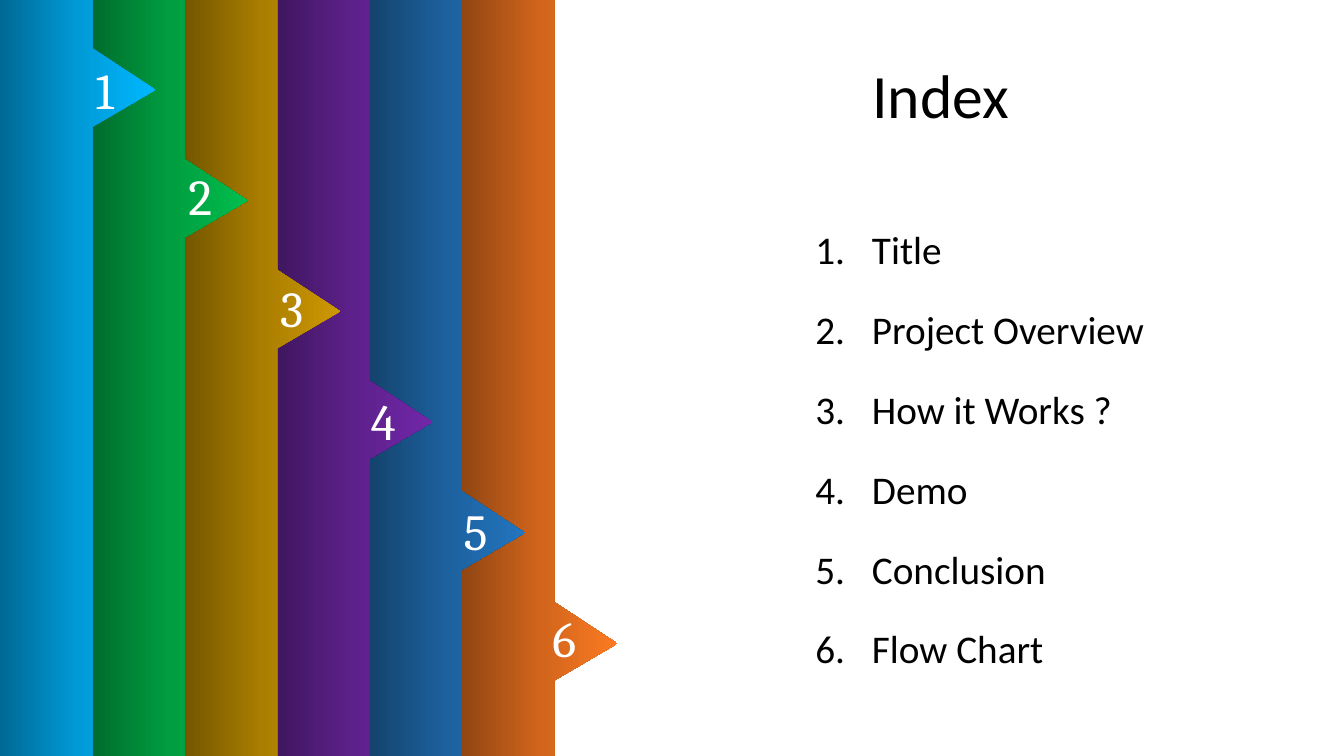
from copy import deepcopy

from lxml import etree
from pptx import Presentation
from pptx.dml.color import RGBColor
from pptx.enum.text import MSO_ANCHOR, PP_ALIGN
from pptx.oxml.ns import qn
from pptx.util import Pt

CENTER, LEFT = PP_ALIGN.CENTER, PP_ALIGN.LEFT
MIDDLE, TOP = MSO_ANCHOR.MIDDLE, MSO_ANCHOR.TOP

COLORS = {
    "text": "000000",
    "number": "FFFFFF",
    "strips": [
        ("006994", "009AD7", "00B8FF"),
        ("006C2D", "009E40", "00BD4E"),
        ("765700", "AA7E00", "CD9700"),
        ("401660", "5D218B", "7127A8"),
        ("14436D", "1D619F", "2375BF"),
        ("914613", "D1651C", "FB7A22"),
    ],
}
NUMBER_FONT = {"name": "Cambria", "size": Pt(36)}
TITLE_FONT = {"name": "Calibri", "size": Pt(44)}
ENTRY_FONT = {"name": "Calibri", "size": Pt(28)}
ENTRIES = ["Title", "Project Overview", "How it Works ?", "Demo", "Conclusion", "Flow Chart"]
NUMBER_OFFSETS = [(61.2, 38.9), (61.4, 35.4), (61, 36.2), (59.8, 37.7), (60, 37.1), (57.4, 34.3)]
STRIP_WIDTH, ARROW_DEPTH, ARROW_STEP = 66, 45, 79.1
ARROW_TOP, ARROW_TIP, ARROW_BOTTOM = 34.6, 64.2, 90.6
NUMBER_WIDTH, NUMBER_HEIGHT = 40, 51
HANGING = 40.5


def set_values(target, values):
    for name, value in values.items():
        setattr(target, name, value)


def add_text(page, box, lines, font, color, anchor=TOP, para_format=None):
    frame = page.shapes.add_textbox(*map(Pt, box)).text_frame
    set_values(frame, {"word_wrap": True, "vertical_anchor": anchor})
    for index, line in enumerate(lines):
        para = frame.add_paragraph() if index else frame.paragraphs[0]
        set_values(para, para_format or {"alignment": LEFT})
        span = para.add_run()
        span.text = line
        set_values(span.font, font)
        span.font.color.rgb = RGBColor.from_string(color)
    return frame


def fill_gradient(shape, colors):
    shape.fill.gradient()
    shape.fill.gradient_angle = 0
    stops = shape._element.spPr.find(qn("a:gradFill")).find(qn("a:gsLst"))
    stops.append(deepcopy(stops[0]))
    for stop, color, position in zip(shape.fill.gradient_stops, colors, (0, 0.5, 1)):
        stop.color.rgb = RGBColor.from_string(color)
        stop.position = position


def add_strip(page, box, index):
    left, top, width, height = box
    right, bottom = left + width, top + height
    shift = top + index * ARROW_STEP
    outline = [
        (left, top), (right, top), (right, shift + ARROW_TOP),
        (right + ARROW_DEPTH, shift + ARROW_TIP), (right, shift + ARROW_BOTTOM),
        (right, bottom), (left, bottom),
    ]
    points = [(Pt(x), Pt(y)) for x, y in outline]
    builder = page.shapes.build_freeform(*points[0])
    builder.add_line_segments(points[1:], close=True)
    strip = builder.convert_to_shape()
    strip.shadow.inherit = False
    strip.line.fill.background()
    fill_gradient(strip, COLORS["strips"][index])
    across, down = NUMBER_OFFSETS[index]
    number_box = (left + across, shift + down, NUMBER_WIDTH, NUMBER_HEIGHT)
    add_text(page, number_box, [str(index + 1)], NUMBER_FONT, COLORS["number"])


def add_strips(page, box):
    left, top, _, height = box
    for index in reversed(range(len(ENTRIES))):
        add_strip(page, (left + index * STRIP_WIDTH, top, STRIP_WIDTH, height), index)


def add_title(page, box):
    add_text(page, box, ["Index"], TITLE_FONT, COLORS["text"], MIDDLE,
             {"alignment": CENTER, "line_spacing": 0.9})


def add_entries(page, box):
    frame = add_text(page, box, ENTRIES, ENTRY_FONT, COLORS["text"],
                     para_format={"line_spacing": 1.4, "space_before": Pt(10)})
    frame.paragraphs[0].space_before = Pt(0)
    for para in frame.paragraphs:
        properties = para._p.get_or_add_pPr()
        properties.set("marL", str(Pt(HANGING)))
        properties.set("indent", str(-Pt(HANGING)))
        bullet = etree.SubElement(properties, qn("a:buAutoNum"))
        bullet.set("type", "arabicPeriod")


deck = Presentation()
set_values(deck, {"slide_width": Pt(960), "slide_height": Pt(540)})
page = deck.slides.add_slide(deck.slide_layouts[6])
add_strips(page, (0, 0, 396, 540))
add_title(page, (461, 18, 422, 104.4))
add_entries(page, (575.3, 144, 319, 342.7))
deck.save("out.pptx")
